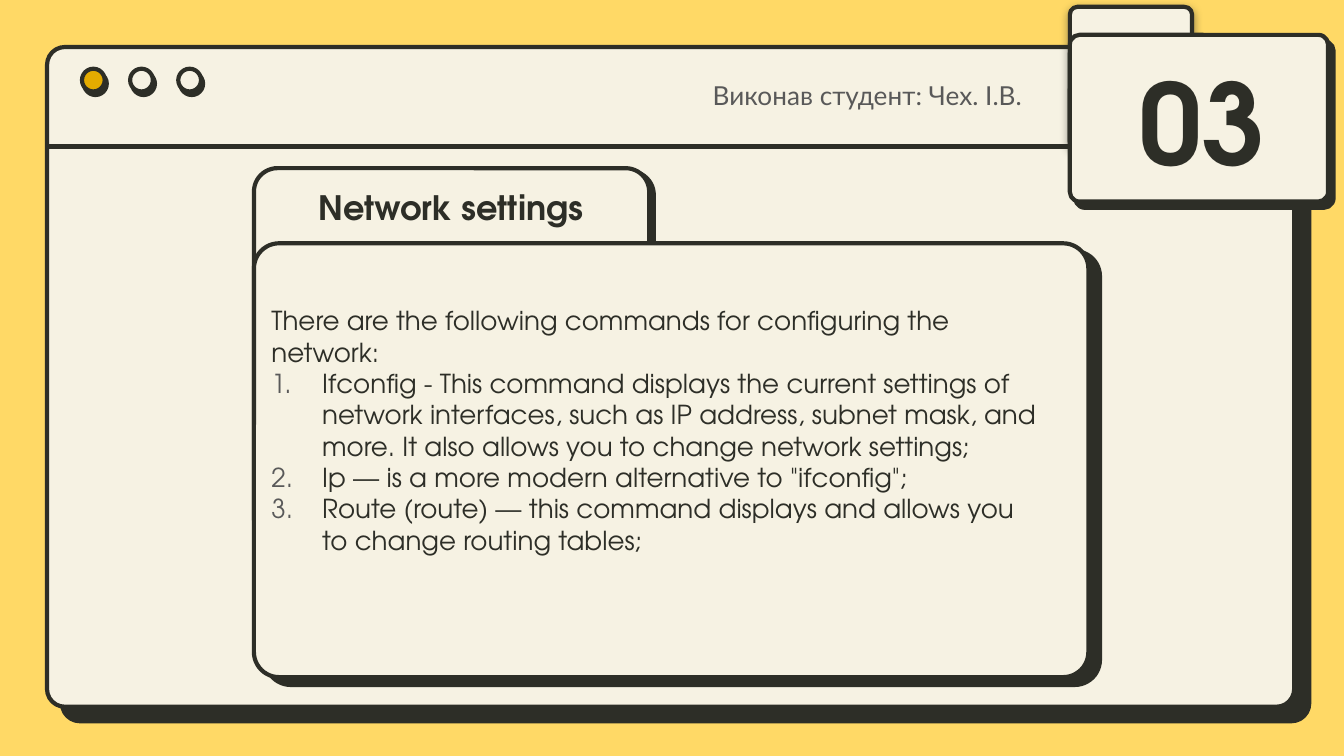
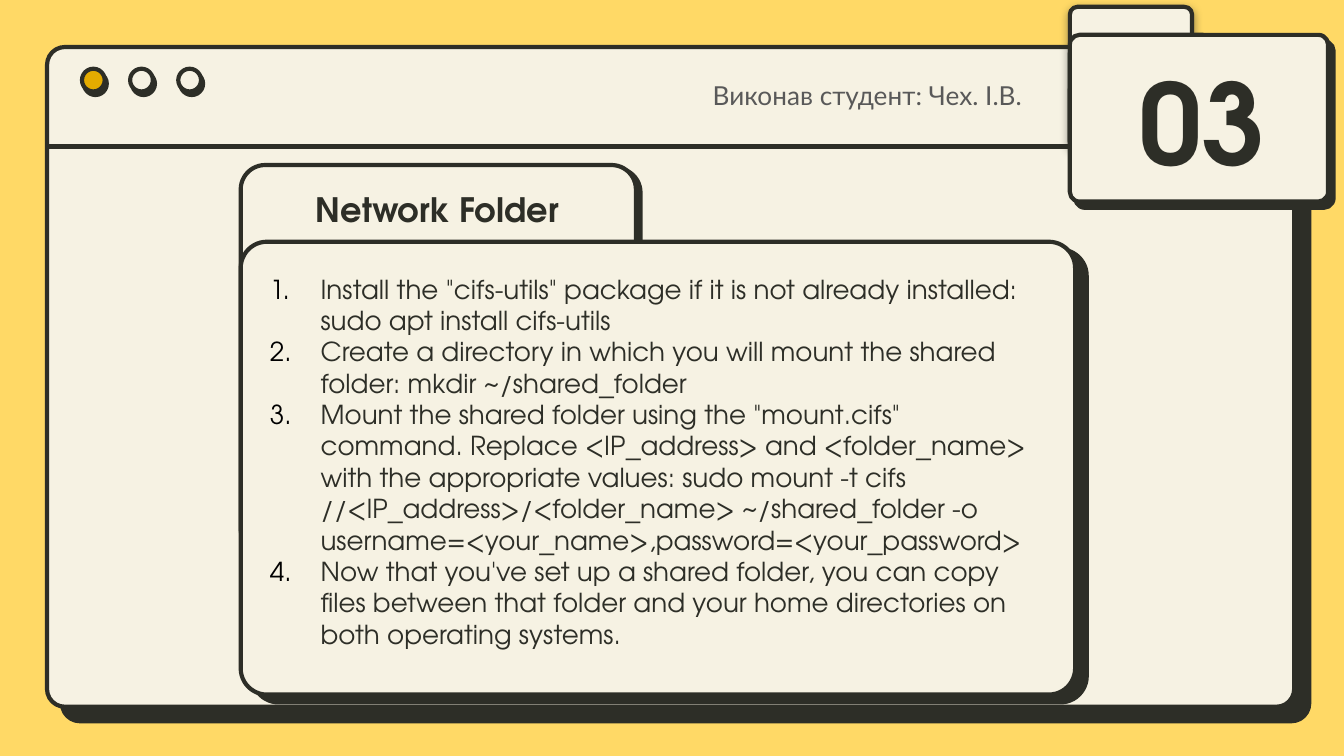
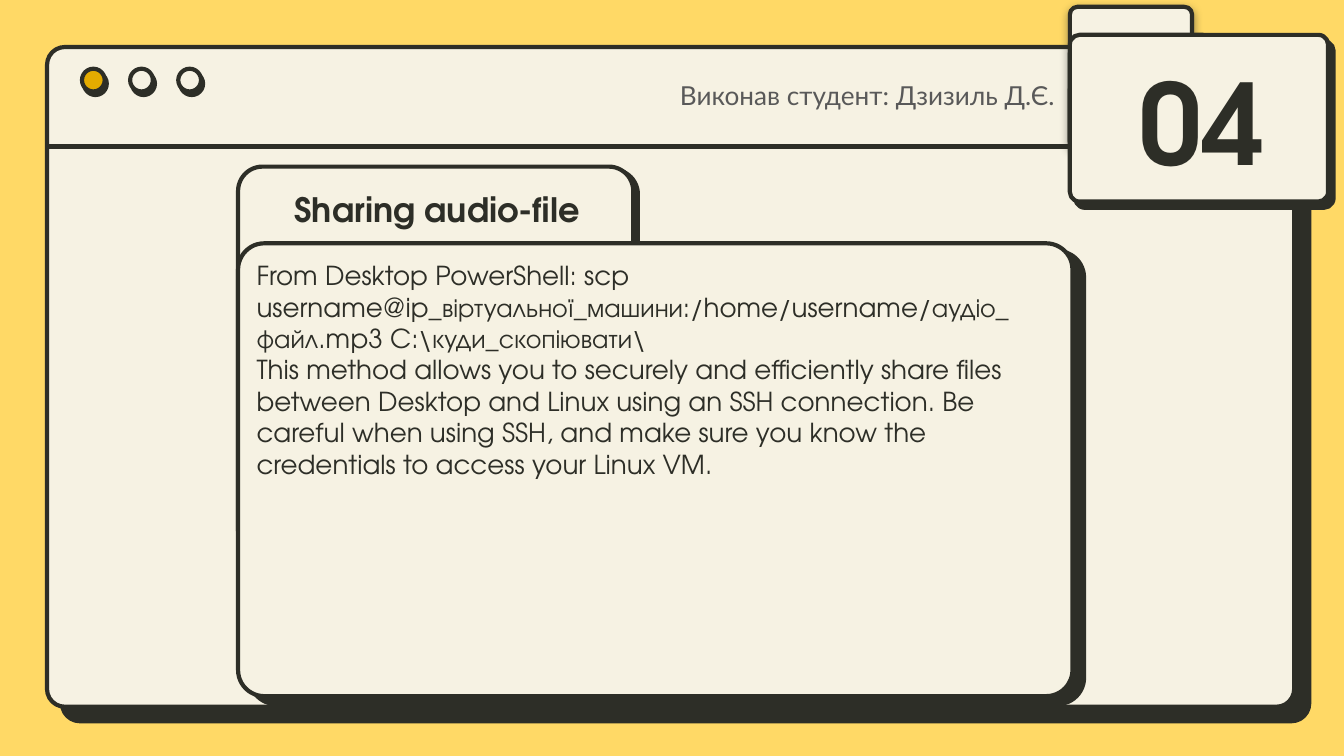
from lxml import etree
from pptx import Presentation
from pptx.dml.color import RGBColor
from pptx.enum.shapes import MSO_CONNECTOR, MSO_SHAPE
from pptx.enum.text import MSO_ANCHOR, PP_ALIGN
from pptx.oxml.ns import qn
from pptx.util import Cm, Pt

YELLOW = RGBColor(0xFF, 0xD9, 0x66)
CREAM = RGBColor(0xF6, 0xF2, 0xE3)
INK = RGBColor(0x2D, 0x2E, 0x27)
AMBER = RGBColor(0xE4, 0xAB, 0x00)
GREY = RGBColor(0x59, 0x59, 0x59)
BLACK = RGBColor(0x00, 0x00, 0x00)

ROUNDED = MSO_SHAPE.ROUNDED_RECTANGLE
OVAL = MSO_SHAPE.OVAL
STRAIGHT = MSO_CONNECTOR.STRAIGHT
TOP = MSO_ANCHOR.TOP
MIDDLE = MSO_ANCHOR.MIDDLE
LEFT = PP_ALIGN.LEFT
CENTER = PP_ALIGN.CENTER

MAIN_FONT = "TeX Gyre Adventor"
AUTHOR_FONT = "Lato"
UNDERSCORE_FONT = "Arial"
BODY_SIZE = 14
OUTLINE = Pt(2.25)
INSET = 0.25
INDENT = 0.96


class FolderDeck:
    """Draws slides that look like a desktop window with a folder in it."""

    def __init__(self):
        self.presentation = Presentation()
        self.presentation.slide_width = Cm(25.4)
        self.presentation.slide_height = Cm(14.29)
        self.slide = None

    def add_slide(self, number, author):
        """Start a slide with its window, section number and author."""
        self.slide = self.presentation.slides.add_slide(self.presentation.slide_layouts[6])
        fill = self.slide.background.fill
        fill.solid()
        fill.fore_color.rgb = YELLOW
        self.panel((0.89, 0.89, 23.57, 12.47), (11.2, 44), corner=0.027)
        self.line(24.49, 0.91, 2.77)
        for position, color in enumerate((AMBER, CREAM, CREAM)):
            self.panel((1.55 + 0.91 * position, 1.3, 0.43, 0.43), (2.2, 60), color)
        self.panel((20.22, 0.13, 2.31, 2.69), (1.5, 90, 4.5, 50), corner=0.063)
        self.panel((20.22, 0.66, 4.88, 3.15), (4.5, 49), corner=0.058)
        self.label((20.6, 1.09, 4.24, 2.39), number, 60, bold=True)
        self.label((10.59, 1.07, 11.61, 1.45), author, BODY_SIZE, AUTHOR_FONT, GREY)

    def add_folder(self, left, tab_top, tab_height, body_top, body_height):
        """Draw a folder with a tab behind its body."""
        self.panel((left, tab_top, 7.47, tab_height), (3, 34), corner=0.063)
        self.panel((left, body_top, 15.77, body_height), (7.5, 34), corner=0.058)

    def panel(self, box, shadow, color=CREAM, corner=None):
        """Draw an outlined shape, rounded if it has a corner, else an oval."""
        shape = self.slide.shapes.add_shape(ROUNDED if corner else OVAL, *map(Cm, box))
        if corner:
            shape.adjustments[0] = corner
        shape.fill.solid()
        shape.fill.fore_color.rgb = color
        shape.line.color.rgb = INK
        shape.line.width = OUTLINE
        self.drop_shadow(shape, *shadow)

    def drop_shadow(self, shape, distance, angle, blur=0, opacity=100):
        """Give a shape an ink shadow."""
        shape.shadow.inherit = False
        effects = shape._element.spPr.find(qn("a:effectLst"))
        shadow = etree.SubElement(
            effects, qn("a:outerShdw"), blurRad=str(Pt(blur)), dist=str(Pt(distance)),
            dir=str(angle * 60000), algn="bl", rotWithShape="0")
        color = etree.SubElement(shadow, qn("a:srgbClr"), val=str(INK))
        etree.SubElement(color, qn("a:alpha"), val=str(opacity * 1000))

    def line(self, start, end, top):
        """Draw a level line."""
        connector = self.slide.shapes.add_connector(
            STRAIGHT, Cm(start), Cm(top), Cm(end), Cm(top))
        connector.line.color.rgb = INK
        connector.line.width = OUTLINE
        etree.SubElement(connector._element.spPr, qn("a:effectLst"))

    def text_frame(self, box, anchor, vertical_inset):
        """Add a wrapped text box and return its frame."""
        frame = self.slide.shapes.add_textbox(*map(Cm, box)).text_frame
        frame.word_wrap = True
        frame.vertical_anchor = anchor
        frame.margin_left = frame.margin_right = Cm(INSET)
        frame.margin_top = frame.margin_bottom = Cm(vertical_inset)
        return frame

    def run(self, paragraph, text, size=BODY_SIZE, font=MAIN_FONT, color=INK, bold=False):
        """Add one run of styled text."""
        run = paragraph.add_run()
        run.text = text
        run.font.size = Pt(size)
        run.font.name = font
        run.font.color.rgb = color
        run.font.bold = bold

    def label(self, box, text, size, font=MAIN_FONT, color=INK, bold=False):
        """Add one centred line of text."""
        paragraph = self.text_frame(box, MIDDLE, INSET).paragraphs[0]
        paragraph.alignment = CENTER
        self.run(paragraph, text, size, font, color, bold)

    def title(self, box, text):
        """Add the title on the folder tab."""
        self.label(box, text, 18, bold=True)

    def body(self, box, plain=(), numbered=(), number_color=BLACK, anchor=TOP,
             vertical_inset=0.13):
        """Add plain paragraphs followed by numbered ones."""
        frame = self.text_frame(box, anchor, vertical_inset)
        for index, text in enumerate((*plain, *numbered)):
            paragraph = frame.paragraphs[0] if index == 0 else frame.add_paragraph()
            paragraph.alignment = LEFT
            if index < len(plain):
                self.run(paragraph, text)
            else:
                self.number(paragraph, number_color)
                self.item_text(paragraph, text)

    def number(self, paragraph, color):
        """Give a paragraph an automatic number and a hanging indent."""
        properties = paragraph._p.get_or_add_pPr()
        properties.set("marL", str(Cm(INDENT)))
        properties.set("indent", str(-Cm(INDENT)))
        bullet_color = etree.SubElement(properties, qn("a:buClr"))
        etree.SubElement(bullet_color, qn("a:srgbClr"), val=str(color))
        etree.SubElement(properties, qn("a:buFont"), typeface=MAIN_FONT)
        etree.SubElement(properties, qn("a:buAutoNum"), type="arabicPeriod")

    def item_text(self, paragraph, text):
        """Add text whose underscores have a font of their own."""
        for index, part in enumerate(text.split("_")):
            if index:
                self.run(paragraph, "_", font=UNDERSCORE_FONT)
            self.run(paragraph, part)


def main():
    """Build the three slides."""
    deck = FolderDeck()
    wide_title = (4.29, 3.25, 7.95, 1.4)

    deck.add_slide("03", "Виконав студент: Чех. І.В.")
    deck.add_folder(4.8, 3.18, 7.04, 4.6, 8.2)
    deck.title((4.8, 3.18, 7.44, 1.47), "Network settings")
    deck.body(
        (4.88, 4.22, 15.01, 7.82),
        plain=["There are the following commands for configuring the network:"],
        numbered=[
            "Ifconfig - This command displays the current settings of network interfaces, "
            "such as IP address, subnet mask, and more. It also allows you to change "
            "network settings;",
            'Ip — is a more modern alternative to "ifconfig";',
            "Route (route) — this command displays and allows you to change routing tables;",
        ],
        number_color=GREY, anchor=MIDDLE, vertical_inset=INSET)

    deck.add_slide("03", "Виконав студент: Чех. І.В.")
    deck.add_folder(4.55, 3.12, 7.34, 4.57, 8.56)
    deck.title(wide_title, "Network Folder")
    deck.body((4.85, 5.03, 15.21, 8.64), numbered=[
        'Install the "cifs-utils" package if it is not already installed: '
        "sudo apt install cifs-utils",
        "Create a directory in which you will mount the shared folder: mkdir ~/shared_folder",
        'Mount the shared folder using the "mount.cifs" command. Replace <IP_address> and '
        "<folder_name> with the appropriate values: sudo mount -t cifs "
        "//<IP_address>/<folder_name> ~/shared_folder -o "
        "username=<your_name>,password=<your_password>",
        "Now that you've set up a shared folder, you can copy files between that folder and "
        "your home directories on both operating systems.",
    ])

    deck.add_slide("04", "Виконав студент: Дзизиль Д.Є.")
    deck.add_folder(4.5, 3.15, 7.34, 4.6, 8.56)
    deck.title(wide_title, "Sharing audio-file")
    deck.body((4.6, 4.78, 14.94, 5.05), plain=[
        "From Desktop PowerShell: scp username@ip_віртуальної_машини:/home/username/"
        "аудіо_файл.mp3 C:\\куди_скопіювати\\",
        "This method allows you to securely and efficiently share files between Desktop and "
        "Linux using an SSH connection. Be careful when using SSH, and make sure you know "
        "the credentials to access your Linux VM.",
    ])

    deck.presentation.save("out.pptx")


if __name__ == "__main__":
    main()
